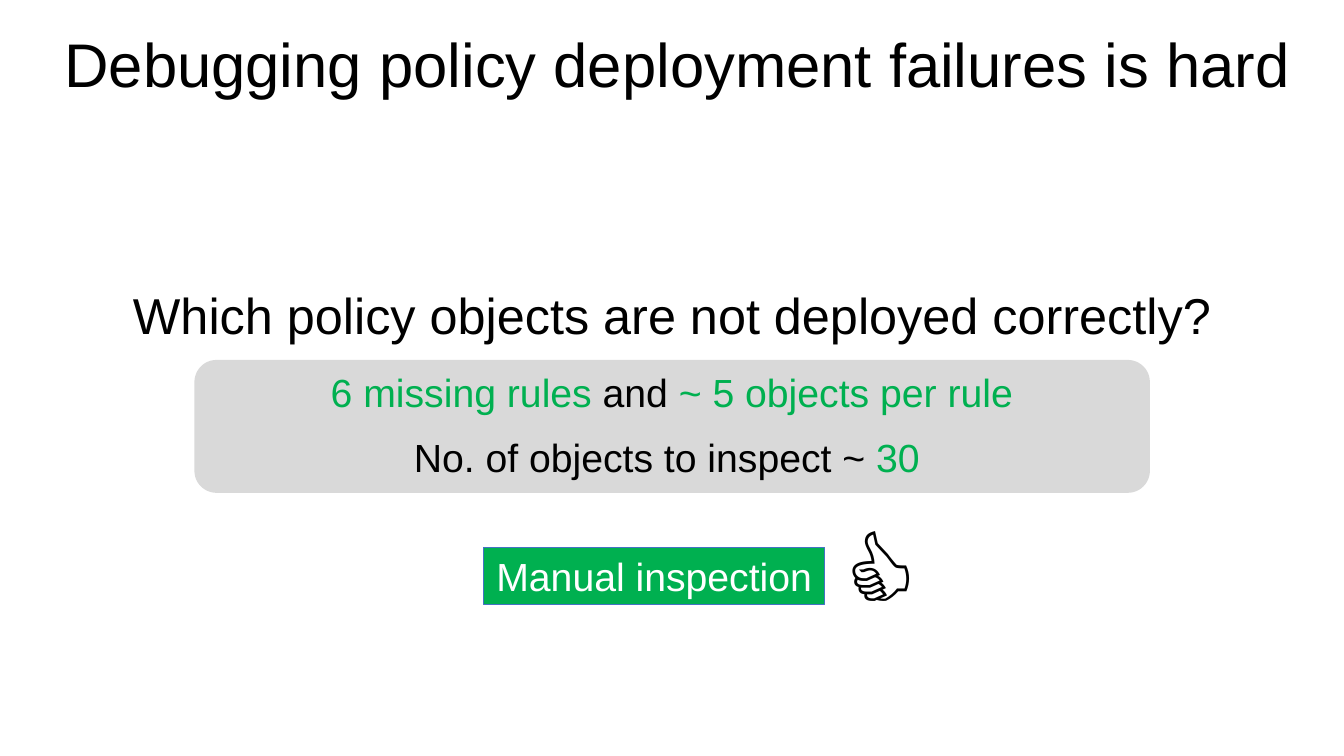
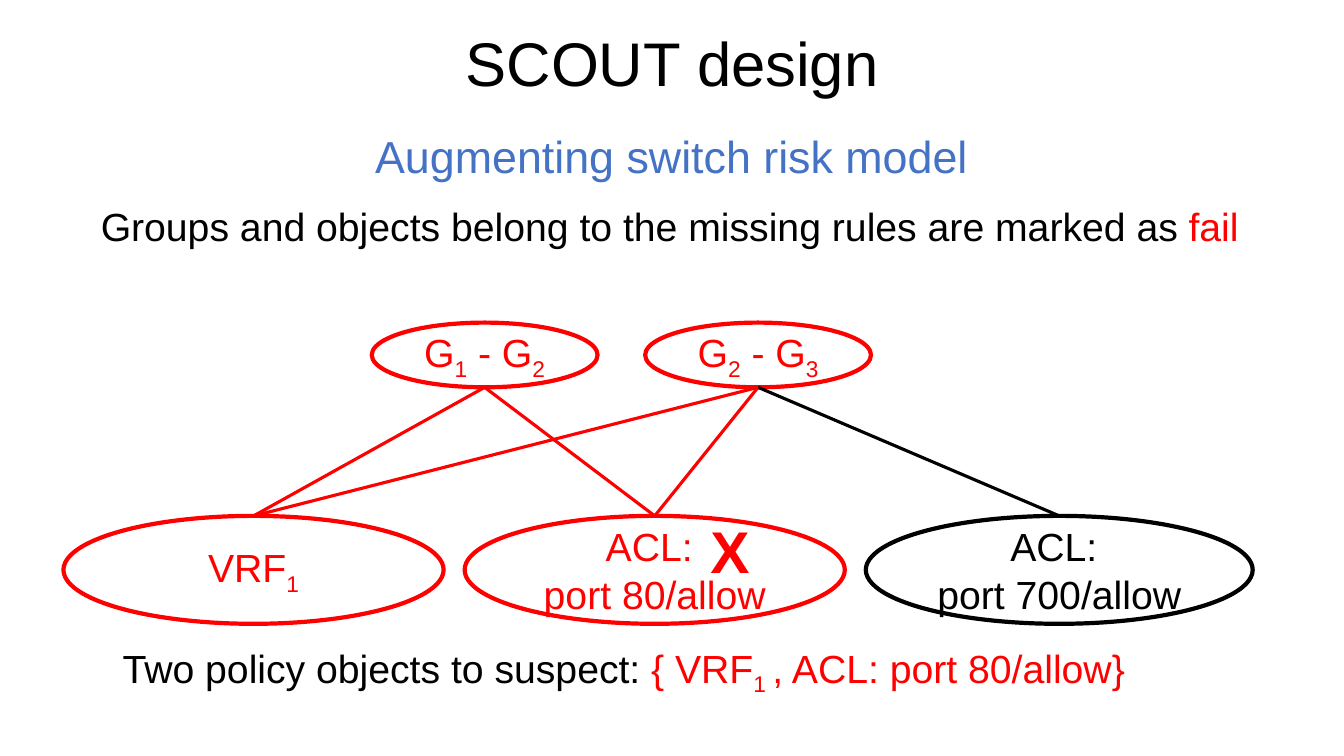
"""Builds two slides on debugging policy deployment failures."""
from lxml.etree import SubElement
from pptx import Presentation
from pptx.dml.color import RGBColor
from pptx.enum.shapes import MSO_CONNECTOR, MSO_SHAPE
from pptx.enum.text import MSO_ANCHOR, MSO_AUTO_SIZE, PP_ALIGN
from pptx.oxml.ns import qn
from pptx.util import Cm, Pt

BLACK = RGBColor(0x00, 0x00, 0x00)
WHITE = RGBColor(0xFF, 0xFF, 0xFF)
RED = RGBColor(0xFF, 0x00, 0x00)
GREEN = RGBColor(0x00, 0xB0, 0x50)
BLUE = RGBColor(0x44, 0x72, 0xC4)
GREY = RGBColor(0xD9, 0xD9, 0xD9)
FONT = "Arial"
TITLE_LAYOUT, BODY_LAYOUT = 5, 1
TEXT_SIZE = 28
SUBSCRIPT = "-25000"


def place(item, box):
    """Move an item to a box given as left, top, width, height in cm."""
    item.left, item.top, item.width, item.height = map(Cm, box)


def add_run(paragraph, text, color, size=TEXT_SIZE, font=FONT, bold=False, sub=False):
    """Append one formatted run, lowered if it is a subscript."""
    run = paragraph.add_run()
    run.text = text
    run.font.name = font
    run.font.size = Pt(size)
    run.font.bold = bold
    run.font.color.rgb = color
    if sub:
        run._r.get_or_add_rPr().set("baseline", SUBSCRIPT)


def write(frame, lines, align=PP_ALIGN.CENTER, anchor=MSO_ANCHOR.MIDDLE, wrap=True, **style):
    """Fill a frame with lines, each a list of (text, colour[, subscript])."""
    frame.word_wrap = wrap
    frame.auto_size = MSO_AUTO_SIZE.NONE
    frame.vertical_anchor = anchor
    for number, line in enumerate(lines):
        paragraph = frame.add_paragraph() if number else frame.paragraphs[0]
        paragraph.alignment = align
        for text, color, *sub in line:
            add_run(paragraph, text, color, sub=bool(sub), **style)


def fill_placeholder(holder, box, text, color, size, anchor):
    """Place a template placeholder and set its single unbulleted line."""
    place(holder, box)
    paragraph = holder.text_frame.paragraphs[0]
    properties = paragraph._p.get_or_add_pPr()
    properties.set("marL", "0")
    properties.set("indent", "0")
    SubElement(properties, qn("a:buNone"))
    paragraph.line_spacing = 0.9
    paragraph.space_before = Pt(0)
    write(holder.text_frame, [[(text, color)]], anchor=anchor, size=size)


def add_titled_slide(deck, layout, title, box):
    """Add a slide with the shared title style."""
    slide = deck.slides.add_slide(deck.slide_layouts[layout])
    fill_placeholder(slide.shapes.title, box, title, BLACK, 44, MSO_ANCHOR.MIDDLE)
    return slide


def add_text(slide, box, lines, **style):
    """Add a text box."""
    label = slide.shapes.add_textbox(*map(Cm, box))
    write(label.text_frame, lines, **style)


def add_panel(slide, kind, box, lines=(), fill=None, line=None, line_width=0.5, **style):
    """Add a preset shape with optional fill, outline and text."""
    panel = slide.shapes.add_shape(kind, *map(Cm, box))
    panel.shadow.inherit = False
    if fill is None:
        panel.fill.background()
    else:
        panel.fill.solid()
        panel.fill.fore_color.rgb = fill
    if line is None:
        panel.line.fill.background()
    else:
        panel.line.color.rgb = line
        panel.line.width = Pt(line_width)
    write(panel.text_frame, lines, **style)
    return panel


def add_node(slide, box, lines, color):
    """Add an outlined ellipse of the risk model."""
    return add_panel(slide, MSO_SHAPE.OVAL, box, lines, line=color, line_width=3)


def link(slide, group, target, color):
    """Draw a line from the bottom of a group to the top of an object."""
    start_x, start_y = group.left + group.width // 2, group.top + group.height
    edge = slide.shapes.add_connector(
        MSO_CONNECTOR.STRAIGHT, start_x, start_y, target.left + target.width // 2, target.top)
    edge.end_connect(target, 0)
    edge.line.color.rgb = color
    edge.line.width = Pt(2.25)
    SubElement(edge._element.spPr, qn("a:effectLst"))


def build_debugging(deck):
    """Build the slide on why debugging is hard."""
    slide = add_titled_slide(deck, TITLE_LAYOUT, "Debugging policy deployment failures is hard",
                             (1.14, 0.43, 31.88, 2.54))
    add_panel(slide, MSO_SHAPE.RECTANGLE, (2.97, 7.01, 27.94, 1.8),
              [[("Which policy objects are not deployed correctly?", BLACK)]],
              fill=WHITE, size=36, wrap=False)
    add_panel(slide, MSO_SHAPE.RECTANGLE, (12.19, 13.79, 8.59, 1.45),
              [[("Manual inspection", WHITE)]], fill=GREEN, line=BLUE, wrap=False)
    add_text(slide, (21, 12.55, 3.4, 3.68), [[("👍", BLACK)]], align=PP_ALIGN.LEFT,
             anchor=MSO_ANCHOR.TOP, wrap=False, size=80, font="Calibri")
    add_panel(slide, MSO_SHAPE.ROUNDED_RECTANGLE, (4.9, 9.07, 24.08, 3.35), fill=GREY)
    add_text(slide, (5.31, 9.25, 23.24, 1.27),
             [[("6 missing rules ", GREEN), ("and ", BLACK), ("~ 5 objects per rule", GREEN)]])
    add_text(slide, (9.09, 10.87, 15.7, 1.27),
             [[("No. of objects to inspect ~ ", BLACK), ("30 ", GREEN)]])


def build_design(deck):
    """Build the slide with the augmented risk model."""
    slide = add_titled_slide(deck, BODY_LAYOUT, "SCOUT design", (2.34, 0.51, 29.21, 2.34))
    fill_placeholder(slide.placeholders[1], (8.89, 3.28, 16.08, 1.27),
                     "Augmenting switch risk model", BLUE, 32, MSO_ANCHOR.TOP)

    groups = [
        add_node(slide, (9.37 + 6.89 * column, 8.13, 5.69, 1.63),
                 [[("G", RED), (first, RED, True), (" - G", RED), (second, RED, True)]], RED)
        for column, (first, second) in enumerate([("1", "2"), ("2", "3")])]
    objects = [
        add_node(slide, (1.6 + 10.11 * column, 13, width, 2.72), lines, color)
        for column, (width, color, lines) in enumerate([
            (9.58, RED, [[("VRF", RED), ("1", RED, True)]]),
            (9.58, RED, [[("ACL: ", RED)], [("port 80/allow", RED)]]),
            (9.75, BLACK, [[("ACL: ", BLACK)], [("port 700/allow", BLACK)]])])]
    for group, target, color in [(0, 1, RED), (1, 1, RED), (1, 2, BLACK), (1, 0, RED), (0, 0, RED)]:
        link(slide, groups[group], objects[target], color)

    left_top = {"align": PP_ALIGN.LEFT, "anchor": MSO_ANCHOR.TOP}
    add_text(slide, (2.29, 4.98, 29.29, 1.45),
             [[("Groups and objects belong to the missing rules are marked as ", BLACK),
               ("fail", RED)]], **left_top)
    add_text(slide, (17.65, 12.85, 2.11, 2.06), [[("X", RED)]], size=42, bold=True, **left_top)
    add_text(slide, (2.84, 16.1, 26.11, 1.45),
             [[("Two policy objects to suspect: ", BLACK), ("{ VRF", RED), ("1 ", RED, True),
               (", ACL: port 80/allow}", RED)]], **left_top)


def main():
    """Build and save the deck."""
    deck = Presentation()
    deck.slide_width, deck.slide_height = Cm(33.87), Cm(19.05)
    build_debugging(deck)
    build_design(deck)
    deck.save("out.pptx")


if __name__ == "__main__":
    main()
